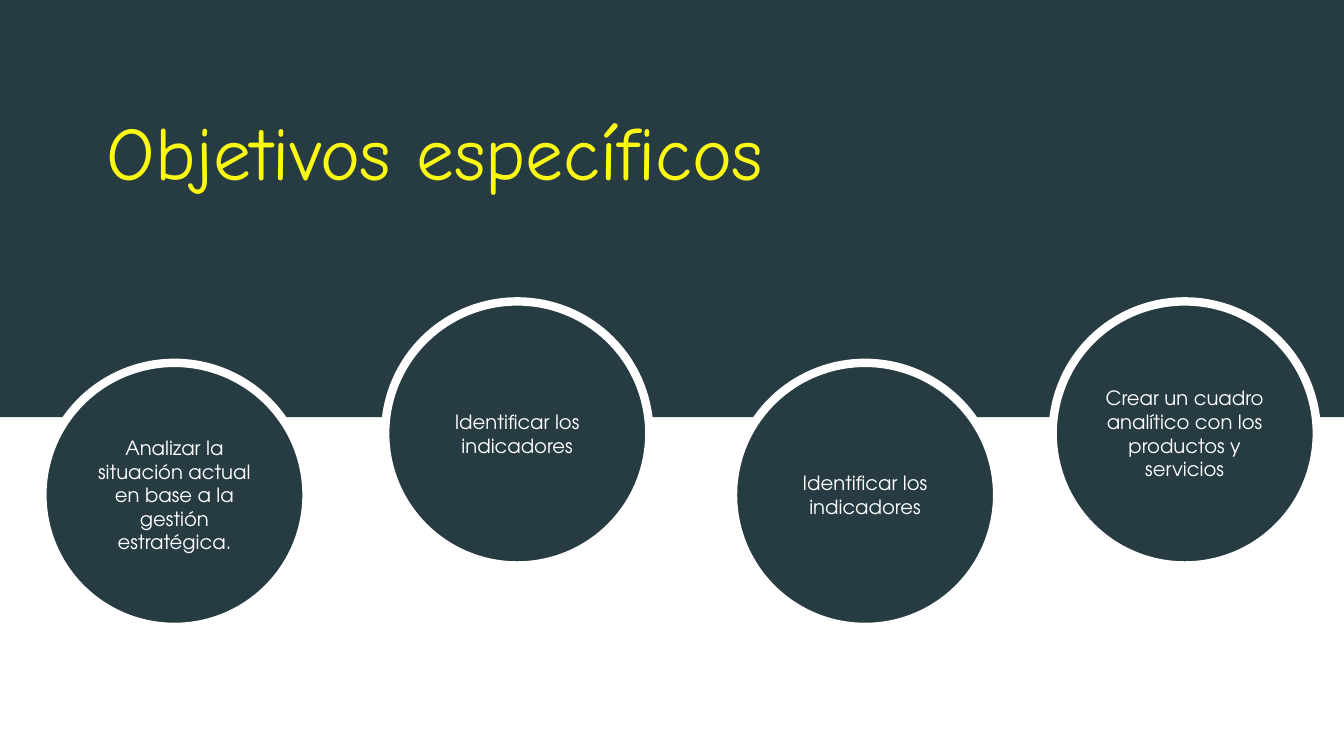
from dataclasses import dataclass

from pptx import Presentation
from pptx.dml.color import RGBColor
from pptx.enum import shapes, text
from pptx.util import Inches, Pt

SLATE = RGBColor(0x27, 0x3B, 0x42)
YELLOW = RGBColor(0xFB, 0xF9, 0x14)
WHITE = RGBColor(0xFF, 0xFF, 0xFF)

DIAMETER = 2.62
LOW, HIGH = 3.6, 2.99

TITLE_FONT = {"name": "Comic Neue", "size": Pt(54), "bold": False}
OBJECTIVE_FONT = {"name": "TeX Gyre Adventor", "size": Pt(14)}


@dataclass(frozen=True)
class Objective:
    wording: str
    left: float
    top: float


OBJECTIVES = [
    Objective("Analizar la situación actual en base a la gestión estratégica.", 0.42, LOW),
    Objective("Crear un cuadro analítico con los productos y servicios", 10.44, HIGH),
    Objective("Identificar los indicadores", 7.27, LOW),
    Objective("Identificar los indicadores", 3.82, HIGH),
]


def apply_format(target, values: dict) -> None:
    for attribute, value in values.items():
        setattr(target, attribute, value)


def write(shape, wording: str, font: dict, color: RGBColor, alignment, anchor) -> None:
    frame = shape.text_frame
    frame.text = wording
    apply_format(frame, {"word_wrap": True, "vertical_anchor": anchor})
    paragraph = frame.paragraphs[0]
    paragraph.alignment = alignment
    run = paragraph.runs[0]
    apply_format(run.font, font)
    run.font.color.rgb = color


def add_filled(slide, kind, left: float, top: float, width: float, height: float):
    shape = slide.shapes.add_shape(
        kind, Inches(left), Inches(top), Inches(width), Inches(height)
    )
    shape.shadow.inherit = False
    shape.fill.solid()
    shape.fill.fore_color.rgb = SLATE
    return shape


def add_heading(slide) -> None:
    heading = slide.shapes.title
    apply_format(heading, {
        "left": Inches(0.96), "top": Inches(0.99),
        "width": Inches(6.9), "height": Inches(1.01),
    })
    write(heading, "Objetivos específicos", TITLE_FONT, YELLOW,
          text.PP_ALIGN.LEFT, text.MSO_ANCHOR.TOP)
    heading.text_frame.auto_size = text.MSO_AUTO_SIZE.SHAPE_TO_FIT_TEXT


def add_band(slide) -> None:
    band = add_filled(slide, shapes.MSO_SHAPE.RECTANGLE, 0, 0, 13.33, 4.14)
    band.line.fill.background()
    slide.shapes.title.element.addprevious(band.element)


def add_objective(slide, objective: Objective) -> None:
    circle = add_filled(slide, shapes.MSO_SHAPE.OVAL,
                        objective.left, objective.top, DIAMETER, DIAMETER)
    circle.line.color.rgb = WHITE
    circle.line.width = Pt(6)
    write(circle, objective.wording, OBJECTIVE_FONT, WHITE,
          text.PP_ALIGN.CENTER, text.MSO_ANCHOR.MIDDLE)


def main() -> None:
    deck = Presentation()
    deck.slide_width, deck.slide_height = Inches(13.33), Inches(7.5)
    slide = deck.slides.add_slide(deck.slide_layouts.get_by_name("Title Only"))
    add_heading(slide)
    add_band(slide)
    for objective in OBJECTIVES:
        add_objective(slide, objective)
    deck.save("out.pptx")


if __name__ == "__main__":
    main()
